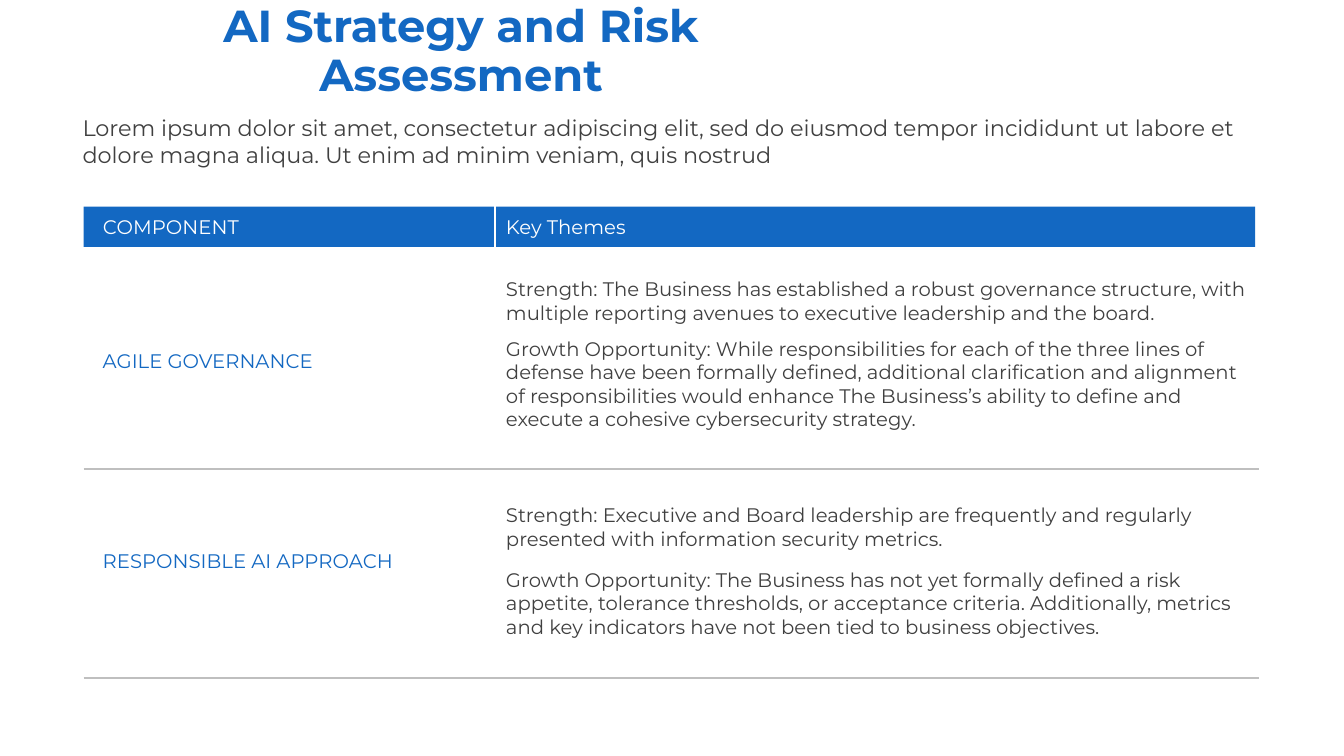
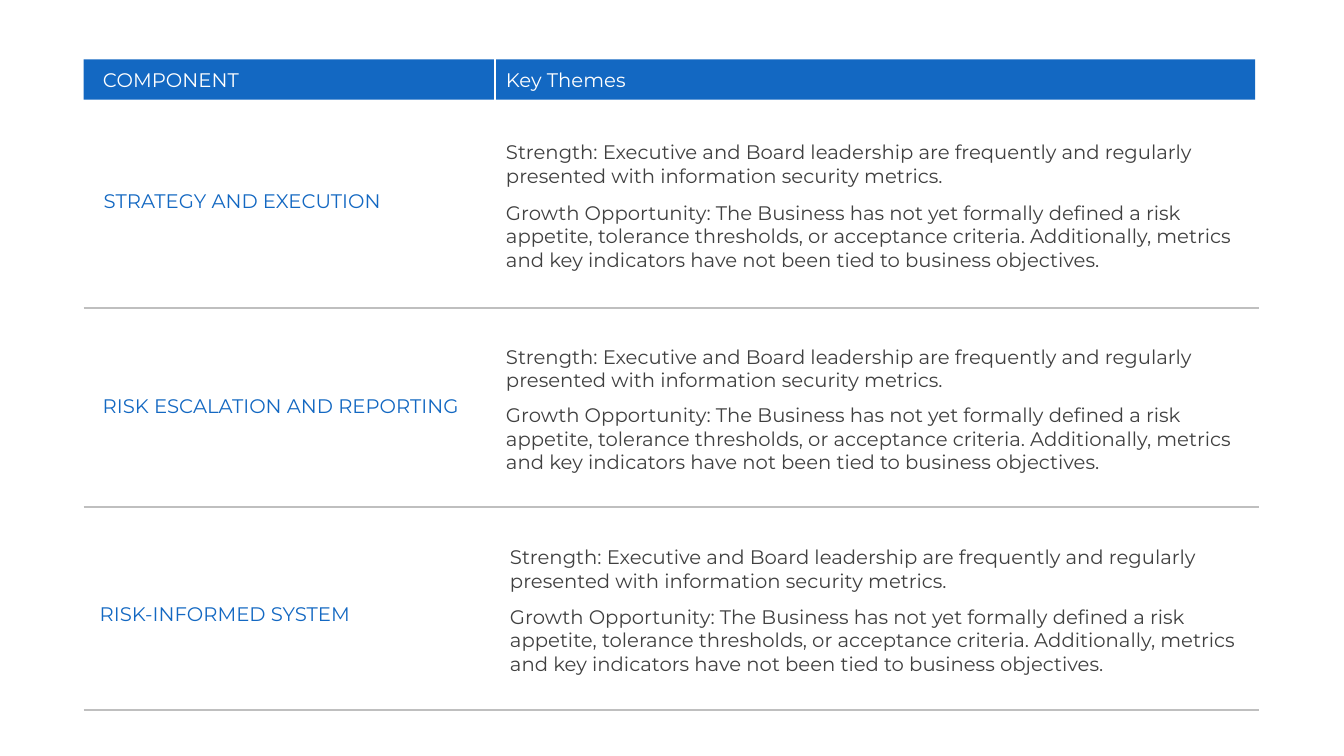
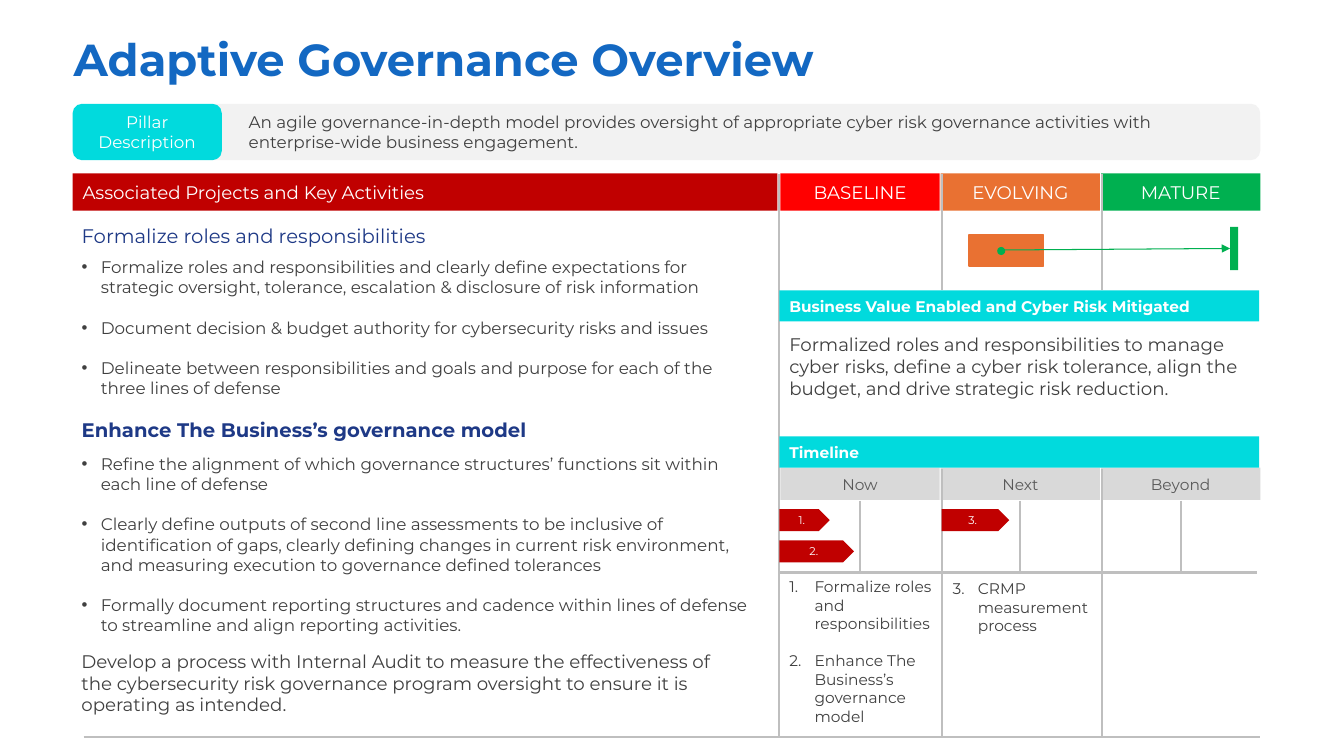
from collections import namedtuple

from lxml import etree
from pptx import Presentation
from pptx import util as u
from pptx.dml.color import RGBColor
from pptx.enum import shapes, text
from pptx.oxml import ns

FONT = "Montserrat"
BLUE = RGBColor(0x13, 0x68, 0xC2)
NAVY = RGBColor(0x1E, 0x39, 0x86)
TEAL = RGBColor(0x01, 0xDA, 0xDD)
CRIMSON = RGBColor(0xC0, 0x00, 0x00)
RED = RGBColor(0xFF, 0x00, 0x00)
ORANGE = RGBColor(0xE9, 0x71, 0x32)
GREEN = RGBColor(0x00, 0xB0, 0x50)
WHITE = RGBColor(0xFF, 0xFF, 0xFF)
PALE = RGBColor(0xF2, 0xF2, 0xF2)
SILVER = RGBColor(0xD9, 0xD9, 0xD9)
RULE = RGBColor(0xBF, 0xBF, 0xBF)
DIM = RGBColor(0x59, 0x59, 0x59)
INK = RGBColor(0x40, 0x40, 0x40)

LEFT, CENTER = text.PP_ALIGN.LEFT, text.PP_ALIGN.CENTER
TOP, MIDDLE, BOTTOM = (text.MSO_ANCHOR.TOP, text.MSO_ANCHOR.MIDDLE,
                       text.MSO_ANCHOR.BOTTOM)
RECT = shapes.MSO_SHAPE.RECTANGLE
ROUND = shapes.MSO_SHAPE.ROUNDED_RECTANGLE
PENTAGON = shapes.MSO_SHAPE.PENTAGON
DOT = shapes.MSO_SHAPE.FLOWCHART_CONNECTOR

COLUMN_LEFT, COLUMN_STEP, COLUMN_WIDTH = 7.74, 1.59, 1.58

Row = namedtuple("Row", "label label_at text_left strength strength_top "
                        "growth growth_top rule_top")

METRICS = ("Strength: Executive and Board leadership are frequently and "
           "regularly presented with information security metrics.")
APPETITE = ("Growth Opportunity: The Business has not yet formally defined a "
            "risk appetite, tolerance thresholds, or acceptance criteria. "
            "Additionally, metrics and key indicators have not been tied to "
            "business objectives.")
STRUCTURE = ("Strength: The Business has established a robust governance "
             "structure, with multiple reporting avenues to executive "
             "leadership and the board.")
DEFENSE = ("Growth Opportunity: While responsibilities for each of the three "
           "lines of defense have been formally defined, additional "
           "clarification and alignment of responsibilities would enhance The "
           "Business’s ability to define and execute a cohesive cybersecurity "
           "strategy.")

ASSESSMENT_ROWS = [
    Row("AGILE GOVERNANCE", (0.92, 3.41), 4.92, STRUCTURE, 2.7,
        DEFENSE, 3.29, 4.65),
    Row("RESPONSIBLE AI APPROACH", (0.92, 5.4), 4.92, METRICS, 4.94,
        APPETITE, 5.58, 6.73),
]
STRATEGY_ROWS = [
    Row("STRATEGY AND EXECUTION", (0.93, 1.83), 4.92, METRICS, 1.34,
        APPETITE, 1.94, 3.06),
    Row("RISK ESCALATION AND REPORTING", (0.92, 3.86), 4.92, METRICS, 3.37,
        APPETITE, 3.95, 5.03),
    Row("RISK-INFORMED SYSTEM", (0.89, 5.92), 4.96, METRICS, 5.36,
        APPETITE, 5.95, 7.04),
]
ROLES = [
    "Formalize roles and responsibilities and clearly define expectations for "
    "strategic oversight, tolerance, escalation & disclosure of risk "
    "information",
    "Document decision & budget authority for cybersecurity risks and issues",
    "Delineate between responsibilities and goals and purpose for each of the "
    "three lines of defense",
]
MODEL = [
    "Refine the alignment of which governance structures’ functions sit within "
    "each line of defense",
    "Clearly define outputs of second line assessments to be inclusive of "
    "identification of gaps, clearly defining changes in current risk "
    "environment, and measuring execution to governance defined tolerances",
    "Formally document reporting structures and cadence within lines of "
    "defense to streamline and align reporting activities.",
]


def inches(*lengths):
    return [u.Inches(round(length, 2)) for length in lengths]


def style(frame, size, color, bold=False, align=LEFT, anchor=TOP):
    frame.word_wrap = True
    frame.auto_size = text.MSO_AUTO_SIZE.NONE
    frame.vertical_anchor = anchor
    for para in frame.paragraphs:
        para.alignment = align
        para.space_before = u.Pt(0)
        for span in para.runs:
            span.font.name = FONT
            span.font.size = u.Pt(size)
            span.font.bold = bold
            span.font.color.rgb = color


def add_text(page, at, words, size, color, **look):
    box = page.shapes.add_textbox(*inches(*at))
    box.text_frame.text = words
    style(box.text_frame, size, color, **look)
    return box


def add_block(page, at, fill, words="", size=13, color=WHITE, kind=RECT,
              inset=0.1, right=0.1, align=CENTER, bold=False):
    block = page.shapes.add_shape(kind, *inches(*at))
    block.shadow.inherit = False
    block.fill.solid()
    block.fill.fore_color.rgb = fill
    block.line.fill.background()
    if words:
        frame = block.text_frame
        frame.text = words
        frame.margin_left, frame.margin_right = inches(inset, right)
        style(frame, size, color, bold, align, MIDDLE)
    return block


def add_line(page, start, end, color=RULE, width=1.5):
    line = page.shapes.add_connector(shapes.MSO_CONNECTOR.STRAIGHT,
                                     *inches(*start, *end))
    line.line.color.rgb = color
    line.line.width = u.Pt(width)
    etree.SubElement(line._element.spPr, ns.qn("a:effectLst"))
    return line


def fill_placeholder(page, index, at, words, size, color, **look):
    holder = page.placeholders[index]
    holder.left, holder.top, holder.width, holder.height = inches(*at)
    holder.text_frame.text = words
    style(holder.text_frame, size, color, **look)
    return holder


def add_title(page, left, words, top, align=LEFT):
    title = fill_placeholder(page, 0, (left, top, 7.81, 0.6), words, 32, BLUE,
                             bold=True, align=align, anchor=BOTTOM)
    title.text_frame.paragraphs[0].line_spacing = 0.9


def make_list(box, indent, gap, tag, **settings):
    for index, para in enumerate(box.text_frame.paragraphs):
        props = para._p.get_or_add_pPr()
        props.set("marL", str(u.Inches(indent)))
        props.set("indent", str(-u.Inches(indent)))
        if tag == "a:buChar":
            etree.SubElement(props, ns.qn("a:buFont"), typeface="Arial")
        etree.SubElement(props, ns.qn(tag), **settings)
        para.space_before = u.Pt(gap if index else 0)


def add_bullets(page, index, at, items):
    box = fill_placeholder(page, index, at, "\n".join(items), 12, INK)
    make_list(box, 0.19, 14.4, "a:buChar", char="•")


def add_numbers(page, at, items, start):
    box = add_text(page, at, "\n".join(items), 11, INK)
    make_list(box, 0.25, 13.2, "a:buAutoNum", type="arabicPeriod",
              startAt=str(start))


def add_themes(page, top, rows):
    add_block(page, (0.83, top, 4.07, 0.4), BLUE, "COMPONENT", 14,
              inset=0.19, align=LEFT)
    add_block(page, (4.92, top, 7.53, 0.4), BLUE, "Key Themes", 14, align=LEFT)
    for row in rows:
        add_text(page, (*row.label_at, 3.85, 0.34), row.label, 14, BLUE)
        add_text(page, (row.text_left, row.strength_top, 7.57, 0.57),
                 row.strength, 14, INK)
        add_text(page, (row.text_left, row.growth_top, 7.57, 0.81),
                 row.growth, 14, INK)
        add_line(page, (0.83, row.rule_top), (12.49, row.rule_top))


def add_column_heads(page, top, height, heads, size, color):
    for index, (words, fill) in enumerate(heads):
        left = COLUMN_LEFT + index * COLUMN_STEP
        add_block(page, (left, top, COLUMN_WIDTH, height), fill, words, size,
                  color)


def add_projects(page):
    add_block(page, (0.72, 1.72, 6.99, 0.37), CRIMSON,
              "Associated Projects and Key Activities", align=LEFT)
    fill_placeholder(page, 1, (0.71, 2.17, 6.43, 0.34),
                     "Formalize roles and responsibilities", 14, NAVY)
    add_bullets(page, 2, (0.71, 2.5, 6.75, 1.51), ROLES)
    fill_placeholder(page, 3, (0.71, 4.1, 6.55, 0.34),
                     "Enhance The Business’s governance model", 14, NAVY,
                     bold=True)
    add_bullets(page, 4, (0.71, 4.45, 6.88, 1.92), MODEL)
    add_text(page, (0.71, 6.4, 6.64, 0.76),
             "Develop a process with Internal Audit to measure the "
             "effectiveness of the cybersecurity risk governance program "
             "oversight to ensure it is operating as intended.", 13, INK)


def add_grid(page):
    add_column_heads(page, 1.72, 0.37, [("BASELINE", RED), ("EVOLVING", ORANGE),
                                        ("MATURE", GREEN)], 13, WHITE)
    add_column_heads(page, 4.64, 0.32, [("Now", SILVER), ("Next", SILVER),
                                        ("Beyond", SILVER)], 11, DIM)
    for index in range(3):
        middle = 8.53 + index * COLUMN_STEP
        add_line(page, (middle, 4.97), (middle, 5.68))
    add_line(page, (0.83, 7.31), (12.5, 7.31))
    add_line(page, (7.73, 1.73), (7.73, 7.31))
    for left in (9.34, 10.93):
        add_line(page, (left, 1.73), (left, 2.88))
        add_line(page, (left, 4.65), (left, 7.31))
    add_line(page, (7.73, 5.68), (12.47, 5.68))


def add_maturity(page):
    current = add_block(page, (9.61, 2.33, 0.74, 0.31), ORANGE)
    current.line.color.rgb = ORANGE
    current.line.width = u.Pt(1.25)
    target = add_block(page, (12.2, 2.25, 0.08, 0.43), GREEN)
    arrow = add_line(page, (9.95, 2.48), (12.2, 2.47), GREEN, 0.75)
    arrow.end_connect(target, 1)
    etree.SubElement(arrow.line._get_or_add_ln(), ns.qn("a:tailEnd"),
                     type="triangle")
    add_block(page, (9.89, 2.45, 0.08, 0.08), GREEN, kind=DOT)


def add_timeline(page):
    for top, words in ((2.88, "Business Value Enabled and Cyber Risk Mitigated"),
                       (4.33, "Timeline")):
        add_block(page, (7.73, top, 4.76, 0.31), TEAL, words, 11, align=LEFT,
                  bold=True)
    add_text(page, (7.73, 3.26, 4.98, 0.76),
             "Formalized roles and responsibilities to manage cyber risks, "
             "define a cyber risk tolerance, align the budget, and drive "
             "strategic risk reduction.", 13, INK)
    for left, top, width, words in ((7.73, 5.05, 0.5, "1."),
                                    (7.73, 5.36, 0.74, "2."),
                                    (9.34, 5.05, 0.67, "3.")):
        add_block(page, (left, top, width, 0.22), CRIMSON, words, 8,
                  kind=PENTAGON)
    add_numbers(page, (7.73, 5.68, 1.65, 1.58),
                ["Formalize roles and responsibilities",
                 "Enhance The Business’s governance model"], 1)
    add_numbers(page, (9.35, 5.7, 1.57, 0.66),
                ["CRMP measurement process"], 3)


def build_assessment(deck):
    page = deck.slides.add_slide(deck.slide_layouts[5])
    add_title(page, 0.67, "AI Strategy and Risk Assessment", 0.45, CENTER)
    add_text(page, (0.72, 1.08, 12.01, 0.64),
             "Lorem ipsum dolor sit amet, consectetur adipiscing elit, sed do "
             "eiusmod tempor incididunt ut labore et dolore magna aliqua. Ut "
             "enim ad minim veniam, quis nostrud", 16, INK)
    add_themes(page, 2.05, ASSESSMENT_ROWS)


def build_strategy(deck):
    page = deck.slides.add_slide(deck.slide_layouts[6])
    add_themes(page, 0.59, STRATEGY_ROWS)


def build_overview(deck):
    page = deck.slides.add_slide(deck.slide_layouts[4])
    add_title(page, 0.63, "Adaptive Governance Overview", 0.31)
    add_block(page, (2.03, 1.03, 10.47, 0.56), PALE,
              "An agile governance-in-depth model provides oversight of "
              "appropriate cyber risk governance activities with "
              "enterprise-wide business engagement.", 12, INK, ROUND,
              inset=0.41, right=0.25, align=LEFT)
    add_block(page, (0.72, 1.03, 1.48, 0.56), TEAL, "Pillar\vDescription", 12,
              kind=ROUND)
    add_projects(page)
    add_grid(page)
    add_maturity(page)
    add_timeline(page)


def main():
    deck = Presentation()
    deck.slide_width, deck.slide_height = inches(13.33, 7.5)
    build_assessment(deck)
    build_strategy(deck)
    build_overview(deck)
    deck.save("out.pptx")


if __name__ == "__main__":
    main()
